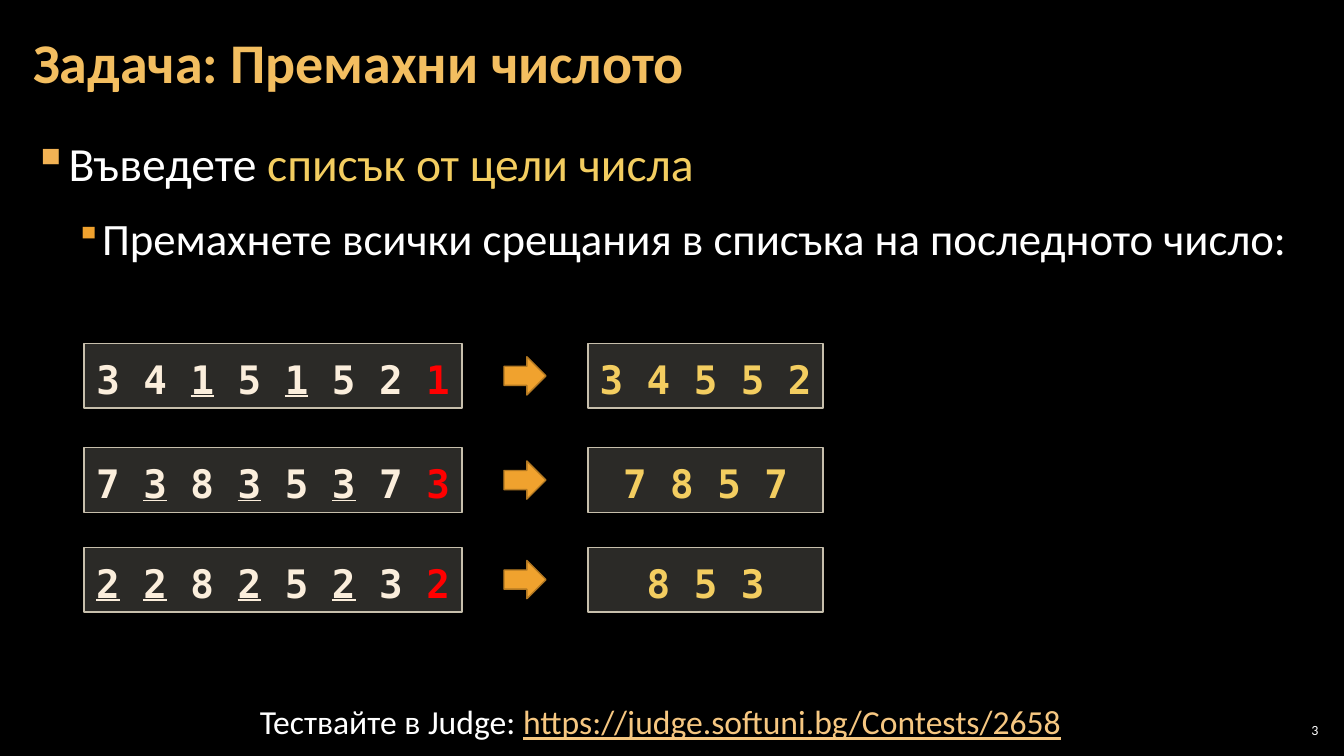
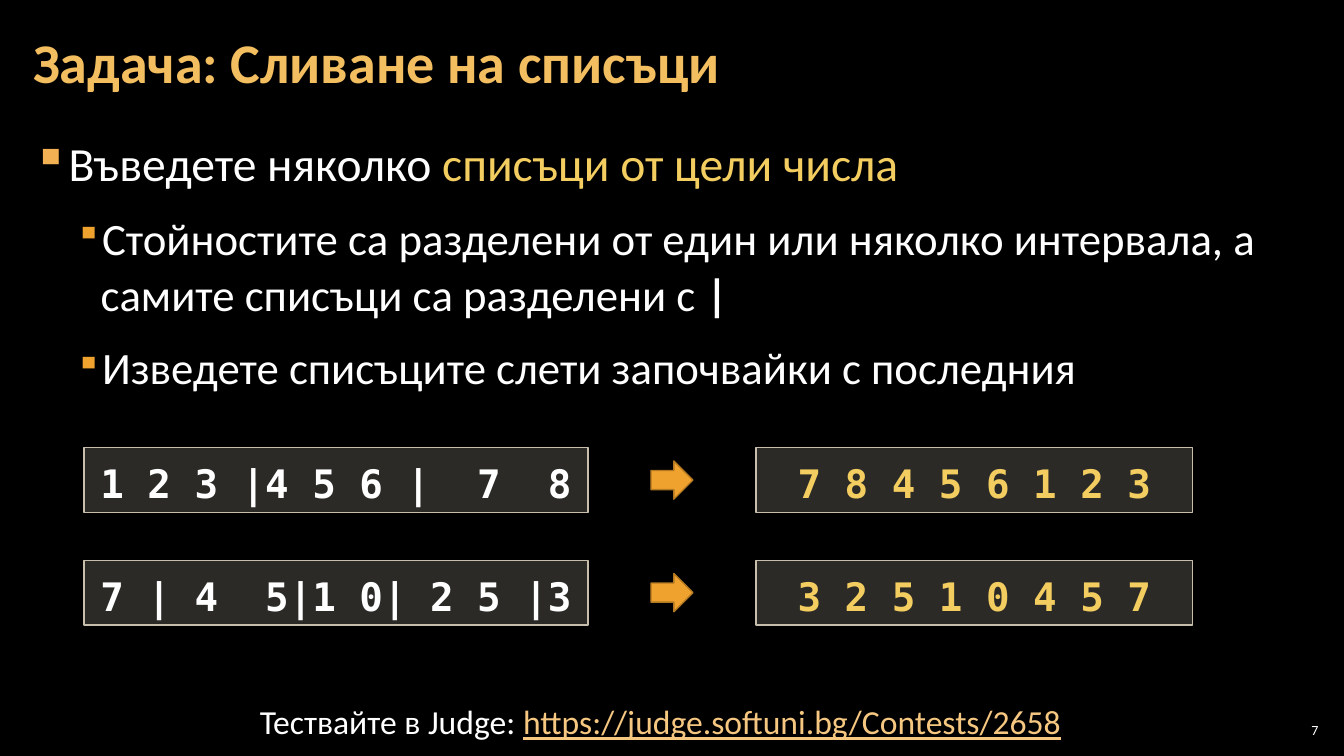
"""Builds two exercise slides about lists, each with sample inputs and outputs."""
from lxml import etree
from pptx import Presentation
from pptx import util as u
from pptx.dml.color import RGBColor
from pptx.enum import shapes, text
from pptx.oxml import ns

BLACK = RGBColor(0x00, 0x00, 0x00)
WHITE = RGBColor(0xFF, 0xFF, 0xFF)
TITLE_GOLD = RGBColor(0xF3, 0xBE, 0x60)
KEY_YELLOW = RGBColor(0xF3, 0xCD, 0x60)
BULLET_GOLD = RGBColor(0xF2, 0xB2, 0x54)
ORANGE = RGBColor(0xF0, 0xA2, 0x2E)
ARROW_EDGE = RGBColor(0xB2, 0x78, 0x22)
LINK_GOLD = RGBColor(0xF6, 0xC7, 0x81)
SAMPLE_FILL = RGBColor(0xD9, 0xD5, 0xC7)
SAMPLE_EDGE = RGBColor(0xC7, 0xBF, 0xAC)
CREAM = RGBColor(0xFB, 0xEE, 0xDC)
RED = RGBColor(0xFF, 0x00, 0x00)

SLIDE_WIDTH, SLIDE_HEIGHT = u.Inches(13.333), u.Inches(7.5)
UNIT = SLIDE_WIDTH / 32
SAMPLE_HEIGHT = 1.54
ARROW_HEIGHT = 0.91

PLAIN = {"name": "Calibri", "color": WHITE}
TITLE = PLAIN | {"size": u.Pt(40), "bold": True, "color": TITLE_GOLD}
FOOTER = PLAIN | {"size": u.Pt(24)}
LINK = FOOTER | {"color": LINK_GOLD, "underline": True}
PAGE = PLAIN | {"size": u.Pt(10)}
CODE = {"name": "DejaVu Sans Mono", "size": u.Pt(28), "bold": True}
RESULT = CODE | {"color": KEY_YELLOW}

LEVELS = [
    {"size": u.Pt(34), "indent": 0.33, "hang": 0.33, "bullet": BULLET_GOLD, "percent": 100},
    {"size": u.Pt(32), "indent": 0.67, "hang": 0.25, "bullet": ORANGE, "percent": 80},
]


def grid(*cells):
    """Turn grid columns and rows into lengths."""
    return [u.Emu(round(cell * UNIT)) for cell in cells]


def apply(target, values):
    """Set every attribute named in values."""
    for name, value in values.items():
        setattr(target, name, value)


def add_run(paragraph, words, style):
    """Add one run in the given style."""
    run = paragraph.add_run()
    run.text = words
    apply(run.font, {name: value for name, value in style.items() if name != "color"})
    run.font.color.rgb = style["color"]


def add_label(slide, place, runs, margins=(0.1, 0.05), wrap=True,
              anchor=text.MSO_ANCHOR.MIDDLE, **layout):
    """Add a text box with one paragraph of styled runs."""
    frame = slide.shapes.add_textbox(*grid(*place)).text_frame
    side, edge = map(u.Inches, margins)
    apply(frame, {"word_wrap": wrap, "vertical_anchor": anchor,
                  "margin_left": side, "margin_right": side,
                  "margin_top": edge, "margin_bottom": edge})
    paragraph = frame.paragraphs[0]
    apply(paragraph, layout)
    for words, style in runs:
        add_run(paragraph, words, style)
    return frame


def add_bullet(paragraph, level):
    """Give a paragraph the square bullet and indent of its level."""
    look = LEVELS[level]
    paragraph.level = level
    properties = paragraph._p.get_or_add_pPr()
    properties.set("marL", str(u.Inches(look["indent"])))
    properties.set("indent", str(-u.Inches(look["hang"])))
    color = etree.SubElement(properties, ns.qn("a:buClr"))
    etree.SubElement(color, ns.qn("a:srgbClr"), val=str(look["bullet"]))
    etree.SubElement(properties, ns.qn("a:buSzPct"), val=str(look["percent"] * 1000))
    etree.SubElement(properties, ns.qn("a:buChar"), char="▪")


def add_task(slide, items):
    """Add the bulleted task description."""
    frame = add_label(slide, (0.5, 3.02, 31, 14.6), [], (0.12, 0.04),
                      anchor=text.MSO_ANCHOR.TOP)
    for index, (level, runs) in enumerate(items):
        paragraph = frame.add_paragraph() if index else frame.paragraphs[0]
        add_bullet(paragraph, level)
        apply(paragraph, {"line_spacing": 1.05, "space_after": u.Pt(6),
                          "space_before": u.Pt(6 if index else 0)})
        for words, extra in runs:
            add_run(paragraph, words, PLAIN | {"size": LEVELS[level]["size"]} | extra)


def add_block(slide, kind, place, fill, edge):
    """Add a filled and outlined preset shape."""
    block = slide.shapes.add_shape(kind, *grid(*place))
    block.shadow.inherit = False
    block.fill.solid()
    block.fill.fore_color.rgb = fill
    block.line.color.rgb = edge
    block.line.width = u.Pt(1)
    return block


def add_sample(slide, place, runs):
    """Add a translucent box with a line of sample data."""
    box = add_block(slide, shapes.MSO_SHAPE.RECTANGLE, place, SAMPLE_FILL, SAMPLE_EDGE)
    color = box._element.spPr.find(ns.qn("a:solidFill"))[0]
    etree.SubElement(color, ns.qn("a:alpha"), val="20000")
    apply(box.text_frame, {"word_wrap": True, "vertical_anchor": text.MSO_ANCHOR.TOP,
                           "auto_size": text.MSO_AUTO_SIZE.SHAPE_TO_FIT_TEXT})
    paragraph = box.text_frame.paragraphs[0]
    apply(paragraph, {"alignment": text.PP_ALIGN.CENTER, "line_spacing": 1.15})
    for words, style in runs:
        add_run(paragraph, words, style)


def mark_removed(numbers):
    """Underline each match of the last number, which is red."""
    *others, last = numbers.split()
    runs = []
    for number in others:
        runs.append((number, CODE | {"color": CREAM, "underline": number == last}))
        runs.append((" ", CODE | {"color": CREAM}))
    return runs + [(last, CODE | {"color": RED})]


def add_samples(slide, columns, examples):
    """Add a row of input, arrow and output for each example."""
    (input_left, input_width), arrow_left, (output_left, output_width) = columns
    for top, input_runs, output in examples:
        add_sample(slide, (input_left, top, input_width, SAMPLE_HEIGHT), input_runs)
        arrow_top = top + (SAMPLE_HEIGHT - ARROW_HEIGHT) / 2
        add_block(slide, shapes.MSO_SHAPE.RIGHT_ARROW,
                  (arrow_left, arrow_top, 1, ARROW_HEIGHT), ORANGE, ARROW_EDGE)
        add_sample(slide, (output_left, top, output_width, SAMPLE_HEIGHT),
                   [(output, RESULT)])


def add_exercise(deck, title, page, items, columns, examples):
    """Add one exercise slide with its title, task, samples and footer."""
    slide = deck.slides.add_slide(deck.slide_layouts[6])
    slide.background.fill.solid()
    slide.background.fill.fore_color.rgb = BLACK
    add_label(slide, (0.5, 0.1, 31, 2.9), [(title, TITLE)], (0.12, 0.04), line_spacing=0.9)
    add_task(slide, items)
    add_samples(slide, columns, examples)
    add_label(slide, (30.36, 17.14, 1.13, 0.5), [(page, PAGE)], (0.04, 0.04),
              alignment=text.PP_ALIGN.RIGHT)
    add_label(slide, (5.95, 16.58, 20.06, 1.2),
              [("Тествайте в Judge: ", FOOTER),
               ("https://judge.softuni.bg/Contests/2658", LINK)],
              wrap=False, anchor=text.MSO_ANCHOR.TOP)


def main():
    """Build the deck and save it."""
    deck = Presentation()
    apply(deck, {"slide_width": SLIDE_WIDTH, "slide_height": SLIDE_HEIGHT})
    key = {"color": KEY_YELLOW}
    add_exercise(
        deck, "Задача: Премахни числото", "3",
        [(0, [("Въведете ", {}), ("списък от цели числа", key)]),
         (1, [("Премахнете всички срещания в списъка на последното число:", {})])],
        ((2, 9), 12, (14, 5.6)),
        [(8.18, mark_removed("3 4 1 5 1 5 2 1"), "3 4 5 5 2"),
         (10.66, mark_removed("7 3 8 3 5 3 7 3"), "7 8 5 7"),
         (13.03, mark_removed("2 2 8 2 5 2 3 2"), "8 5 3")])
    lists = CODE | {"color": WHITE}
    add_exercise(
        deck, "Задача: Сливане на списъци", "7",
        [(0, [("Въведете няколко ", {}), ("списъци от цели числа", key)]),
         (1, [("Стойностите са разделени от един или няколко интервала, "
               "а самите списъци са разделени с ", {}), ("|", {"bold": True})]),
         (1, [("Изведете списъците слети започвайки с последния", {})])],
        ((2, 12), 15.5, (18, 10.4)),
        [(10.66, [("1 2 3 |4 5 6 |  7  8", lists)], "7 8 4 5 6 1 2 3"),
         (13.34, [("7 | 4  5|1 0| 2 5 |3", lists)], "3 2 5 1 0 4 5 7")])
    deck.save("out.pptx")


if __name__ == "__main__":
    main()
